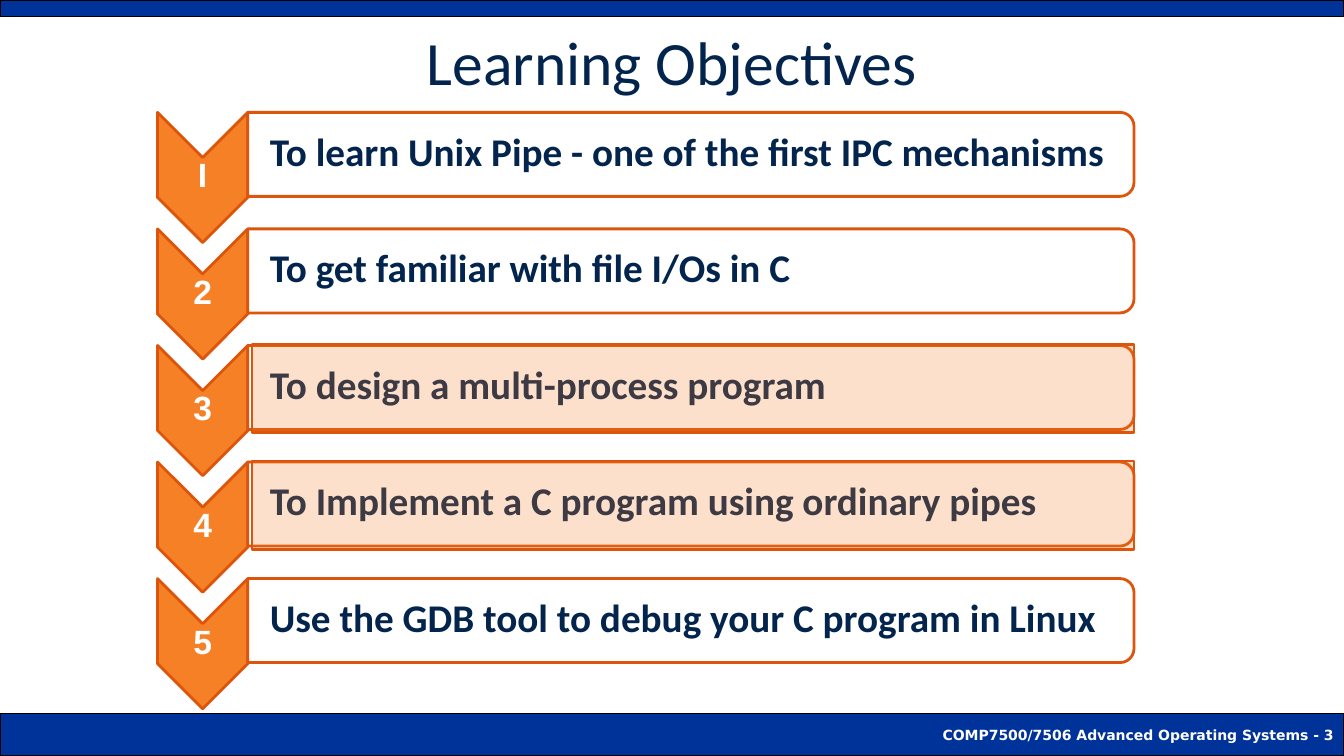
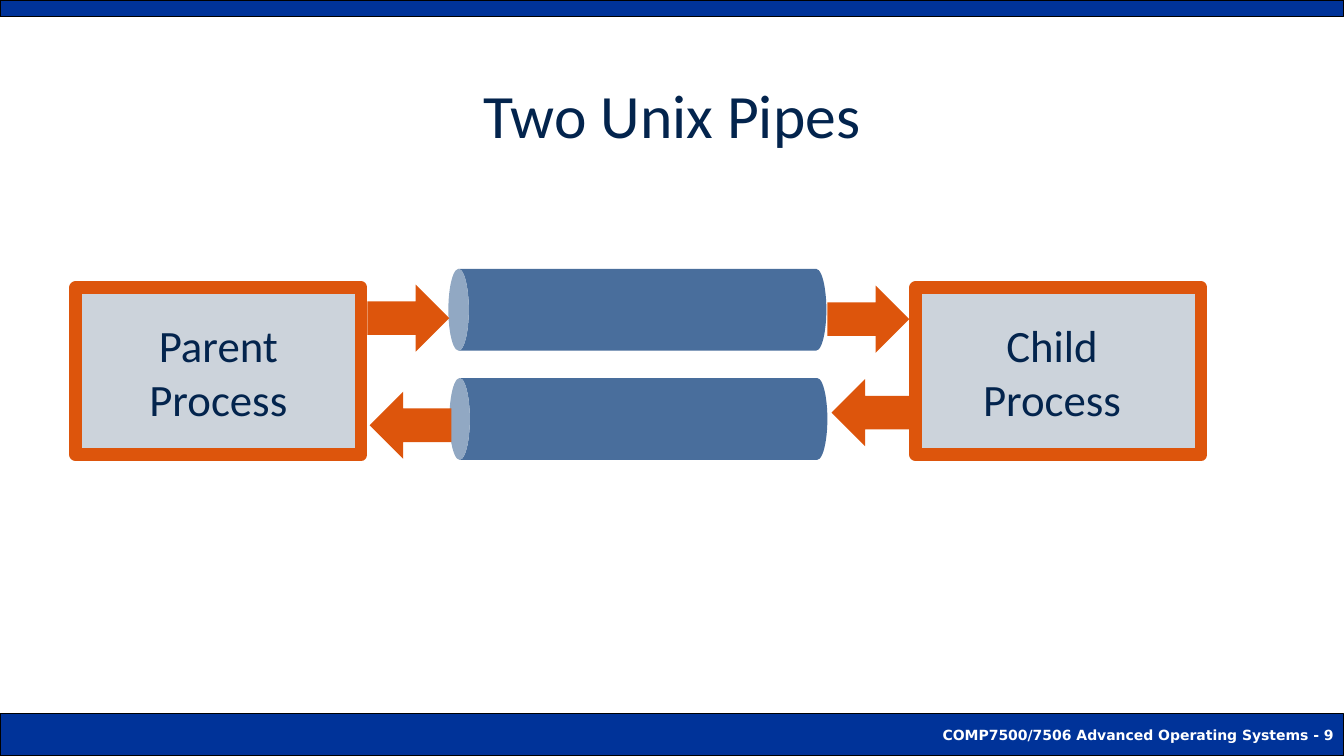
from lxml.etree import SubElement
from pptx import Presentation
from pptx.dml.color import RGBColor
from pptx.enum.shapes import MSO_SHAPE
from pptx.enum.text import MSO_ANCHOR, PP_ALIGN
from pptx.oxml.ns import qn
from pptx.util import Pt

PX = 9525
WIDTH, HEIGHT = 1280, 720

WHITE = RGBColor(0xFF, 0xFF, 0xFF)
BLACK = RGBColor(0x00, 0x00, 0x00)
BAND_BLUE = RGBColor(0x00, 0x33, 0x99)
NAVY = RGBColor(0x03, 0x24, 0x4D)
ORANGE = RGBColor(0xF6, 0x80, 0x26)
DARK_ORANGE = RGBColor(0xDD, 0x55, 0x0C)
PIPE_BLUE = RGBColor(0x49, 0x6E, 0x9C)

COURSE = "COMP7500/7506 Advanced Operating Systems"
OBJECTIVES = [
    "To learn Unix Pipe - one of the first IPC mechanisms",
    "To get familiar with file I/Os in C",
    "To design a multi-process program",
    "To Implement a C program using ordinary pipes",
    "Use the GDB tool to debug your C program in Linux",
]
NUMERALS = ["I", "2", "3", "4", "5"]
HIGHLIGHTED = [2, 3]
ROW_TOP, ROW_PITCH = 107, 111


def add_shape(page, kind, box, fill, line=None, line_width=2, opacity=100):
    shape = page.shapes.add_shape(kind, *[value * PX for value in box])
    shape.shadow.inherit = False
    shape.fill.solid()
    shape.fill.fore_color.rgb = fill
    if opacity < 100:
        color = shape.fill._xPr.find(qn("a:solidFill"))[0]
        SubElement(color, qn("a:alpha"), val=str(opacity * 1000))
    if line is None:
        shape.line.fill.background()
    else:
        shape.line.color.rgb = line
        shape.line.width = Pt(line_width)
    return shape


def add_turned_shape(page, kind, box, rotation, fill, line=None):
    left, top, width, height = box
    shift = (width - height) // 2
    turned_box = (left + shift, top - shift, height, width)
    shape = add_shape(page, kind, turned_box, fill, line)
    shape.rotation = rotation
    return shape


def set_text(shape, text, size, color=NAVY, font="Calibri", bold=False,
             align=PP_ALIGN.CENTER, spacing=None, insets=(10, 5, 10, 5)):
    frame = shape.text_frame
    frame.text = text
    frame.word_wrap = True
    frame.vertical_anchor = MSO_ANCHOR.MIDDLE
    (frame.margin_left, frame.margin_top,
     frame.margin_right, frame.margin_bottom) = [value * PX for value in insets]
    para = frame.paragraphs[0]
    para.alignment = align
    para.line_spacing = spacing
    span = para.runs[0]
    span.font.name = font
    span.font.size = Pt(size)
    span.font.bold = bold
    span.font.color.rgb = color


def add_text(page, box, text, size, **style):
    text_box = page.shapes.add_textbox(*[value * PX for value in box])
    set_text(text_box, text, size, **style)


def add_page(deck, title, title_box, number):
    page = deck.slides.add_slide(deck.slide_layouts[6])
    footer = add_shape(page, MSO_SHAPE.RECTANGLE, (0, 680, WIDTH, 40),
                       BAND_BLUE, BLACK, 0.75)
    set_text(footer, f"{COURSE} - {number}", 10, color=WHITE,
             font="DejaVu Sans", bold=True, align=PP_ALIGN.RIGHT)
    add_shape(page, MSO_SHAPE.RECTANGLE, (0, 0, WIDTH, 16),
              BAND_BLUE, BLACK, 0.75)
    add_text(page, title_box, title, 44)
    return page


def add_objective(page, top, numeral, text):
    add_turned_shape(page, MSO_SHAPE.CHEVRON, (150, top, 86, 124), 90,
                     ORANGE, DARK_ORANGE)
    add_text(page, (150, top + 43, 86, 37), numeral, 24, color=WHITE,
             font="Arial", bold=True, spacing=0.9, insets=(2, 2, 2, 2))
    add_turned_shape(page, MSO_SHAPE.ROUND_2_SAME_RECTANGLE,
                     (236, top, 844, 80), 90, WHITE, DARK_ORANGE)
    add_text(page, (236, top + 3, 840, 72), text, 28, bold=True,
             align=PP_ALIGN.LEFT, spacing=0.9, insets=(21, 2, 2, 2))


def add_process(page, left, text, right_inset):
    box = add_shape(page, MSO_SHAPE.RECTANGLE, (left, 274, 272, 159),
                    NAVY, DARK_ORANGE, 9, opacity=20)
    set_text(box, text, 32, insets=(22, 5, right_inset, 5))


def add_pipe(page, left, top):
    add_turned_shape(page, MSO_SHAPE.CAN, (left, top, 360, 78), 270, PIPE_BLUE)


def add_arrow(page, kind, left, top):
    add_shape(page, kind, (left, top, 78, 64), DARK_ORANGE)


def build_objectives(deck):
    page = add_page(deck, "Learning Objectives", (32, 2, 1216, 112), 3)
    for row, (numeral, text) in enumerate(zip(NUMERALS, OBJECTIVES)):
        add_objective(page, ROW_TOP + row * ROW_PITCH, numeral, text)
    for row in HIGHLIGHTED:
        add_shape(page, MSO_SHAPE.RECTANGLE,
                  (240, ROW_TOP + row * ROW_PITCH - 1, 840, 84),
                  ORANGE, DARK_ORANGE, opacity=24)


def build_pipes(deck):
    page = add_page(deck, "Two Unix Pipes", (120, 56, 1040, 104), 9)
    add_process(page, 72, "Parent Process", 22)
    add_process(page, 872, "Child Process", 34)
    add_pipe(page, 427, 256)
    add_arrow(page, MSO_SHAPE.RIGHT_ARROW, 350, 271)
    add_arrow(page, MSO_SHAPE.RIGHT_ARROW, 788, 272)
    add_pipe(page, 428, 360)
    add_arrow(page, MSO_SHAPE.LEFT_ARROW, 792, 361)
    add_arrow(page, MSO_SHAPE.LEFT_ARROW, 352, 373)


def main():
    deck = Presentation()
    deck.slide_width = WIDTH * PX
    deck.slide_height = HEIGHT * PX
    build_objectives(deck)
    build_pipes(deck)
    deck.save("out.pptx")


if __name__ == "__main__":
    main()
